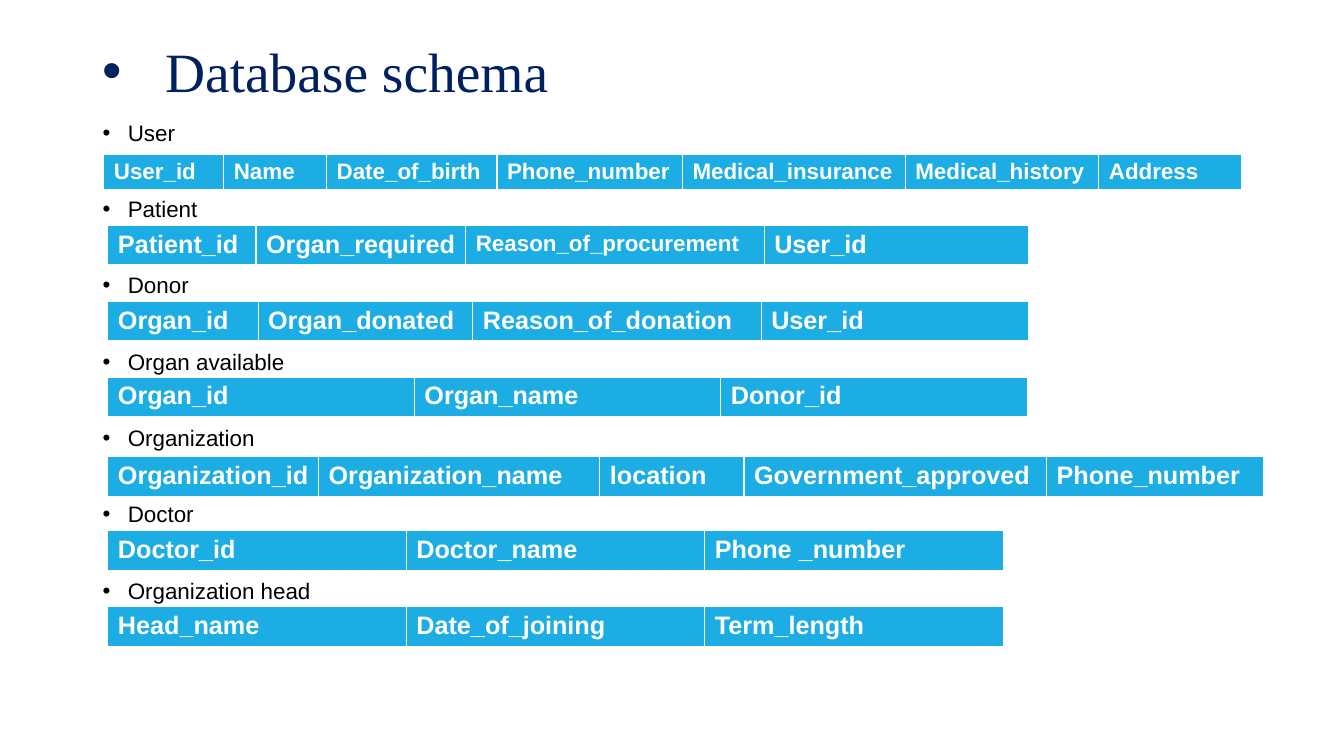
from lxml import etree
from pptx import Presentation
from pptx.dml.color import RGBColor
from pptx.enum.text import MSO_ANCHOR
from pptx.oxml.ns import qn
from pptx.util import Inches, Pt

MIDDLE, TOP = MSO_ANCHOR.MIDDLE, MSO_ANCHOR.TOP
NAVY, BLACK, WHITE, BLUE = "002060", "000000", "FFFFFF", "1CADE4"
BORDERS = {"a:lnL": 1, "a:lnR": 1, "a:lnT": 1, "a:lnB": 3}

TITLE = "Database schema"
# entity, left, top, row height, font size, [(field, column width)]
ENTITIES = [
    ("User", 1.03, 1.53, 0.36, 16,
     [("User_id", 1.19), ("Name", 1.02), ("Date_of_birth", 1.69),
      ("Phone_number", 1.84), ("Medical_insurance", 2.21),
      ("Medical_history", 1.92), ("Address", 1.42)]),
    ("Patient", 1.07, 2.24, 0.37, 18,
     [("Patient_id", 1.47), ("Organ_required", 2.08),
      ("Reason_of_procurement", 2.96), ("User_id", 2.62)]),
    ("Donor", 1.07, 2.99, 0.37, 18,
     [("Organ_id", 1.49), ("Organ_donated", 2.13),
      ("Reason_of_donation", 2.86), ("User_id", 2.65)]),
    ("Organ available", 1.07, 3.74, 0.37, 18,
     [("Organ_id", 3.04), ("Organ_name", 3.04), ("Donor_id", 3.04)]),
    ("Organization", 1.07, 4.53, 0.41, 18,
     [("Organization_id", 2.09), ("Organization_name", 2.79),
      ("location", 1.43), ("Government_approved", 3), ("Phone_number", 2.15)]),
    ("Doctor", 1.07, 5.26, 0.41, 18,
     [("Doctor_id", 2.96), ("Doctor_name", 2.96), ("Phone _number", 2.96)]),
    ("Organization head", 1.07, 6.02, 0.41, 18,
     [("Head_name", 2.96), ("Date_of_joining", 2.96), ("Term_length", 2.96)]),
]
SMALLER_FIELDS = {"Reason_of_procurement": 16}
LABEL_GAP = 37.25


def color(hex_text):
    return RGBColor.from_string(hex_text)


def write(paragraph, text, *, size, fill, font="Arial", bold=False):
    span = paragraph.add_run()
    span.text = text
    span.font.name = font
    span.font.size = Pt(size)
    span.font.bold = bold
    span.font.color.rgb = color(fill)


def add_bullet(paragraph, indent):
    """Give the paragraph a round bullet with a hanging indent in inches."""
    properties = paragraph._p.get_or_add_pPr()
    properties.set("marL", str(Inches(indent)))
    properties.set("indent", str(-Inches(indent)))
    etree.SubElement(properties, qn("a:buFont")).set("typeface", "Arial")
    etree.SubElement(properties, qn("a:buChar")).set("char", "•")


def add_bullet_list(page, items, top, height, *, anchor, indent, gap=0, **style):
    box = page.shapes.add_textbox(Inches(0.92), Inches(top), Inches(11.5), Inches(height))
    frame = box.text_frame
    frame.word_wrap = True
    frame.vertical_anchor = anchor
    for index, item in enumerate(items):
        paragraph = frame.add_paragraph() if index else frame.paragraphs[0]
        paragraph.line_spacing = 0.9
        paragraph.space_before = Pt(gap if index else 0)
        add_bullet(paragraph, indent)
        write(paragraph, item, **style)


def set_borders(cell):
    properties = cell._tc.get_or_add_tcPr()
    for position, (tag, width) in enumerate(BORDERS.items()):
        line = etree.Element(qn(tag), w=str(Pt(width)))
        solid = etree.SubElement(line, qn("a:solidFill"))
        etree.SubElement(solid, qn("a:srgbClr")).set("val", WHITE)
        properties.insert(position, line)


def add_entity_table(page, left, top, height, size, fields):
    total_width = sum(width for _, width in fields)
    table = page.shapes.add_table(1, len(fields), Inches(left), Inches(top),
                                  Inches(total_width), Inches(height)).table
    table.horz_banding = False
    for column, (field, width) in enumerate(fields):
        table.columns[column].width = Inches(width)
        cell = table.cell(0, column)
        cell.fill.solid()
        cell.fill.fore_color.rgb = color(BLUE)
        set_borders(cell)
        write(cell.text_frame.paragraphs[0], field, fill=WHITE, bold=True,
              size=SMALLER_FIELDS.get(field, size))


def main():
    deck = Presentation()
    deck.slide_width, deck.slide_height = Inches(13.33), Inches(7.5)
    page = deck.slides.add_slide(deck.slide_layouts[6])
    add_bullet_list(page, [TITLE], 0.4, 0.67, anchor=MIDDLE, indent=0.62,
                    size=39.6, fill=NAVY, font="Times New Roman")
    add_bullet_list(page, [entity[0] for entity in ENTITIES], 1.16, 5.66, anchor=TOP,
                    indent=0.25, gap=LABEL_GAP, size=16, fill=BLACK)
    for _, *table_values in ENTITIES:
        add_entity_table(page, *table_values)
    deck.save("out.pptx")


if __name__ == "__main__":
    main()
